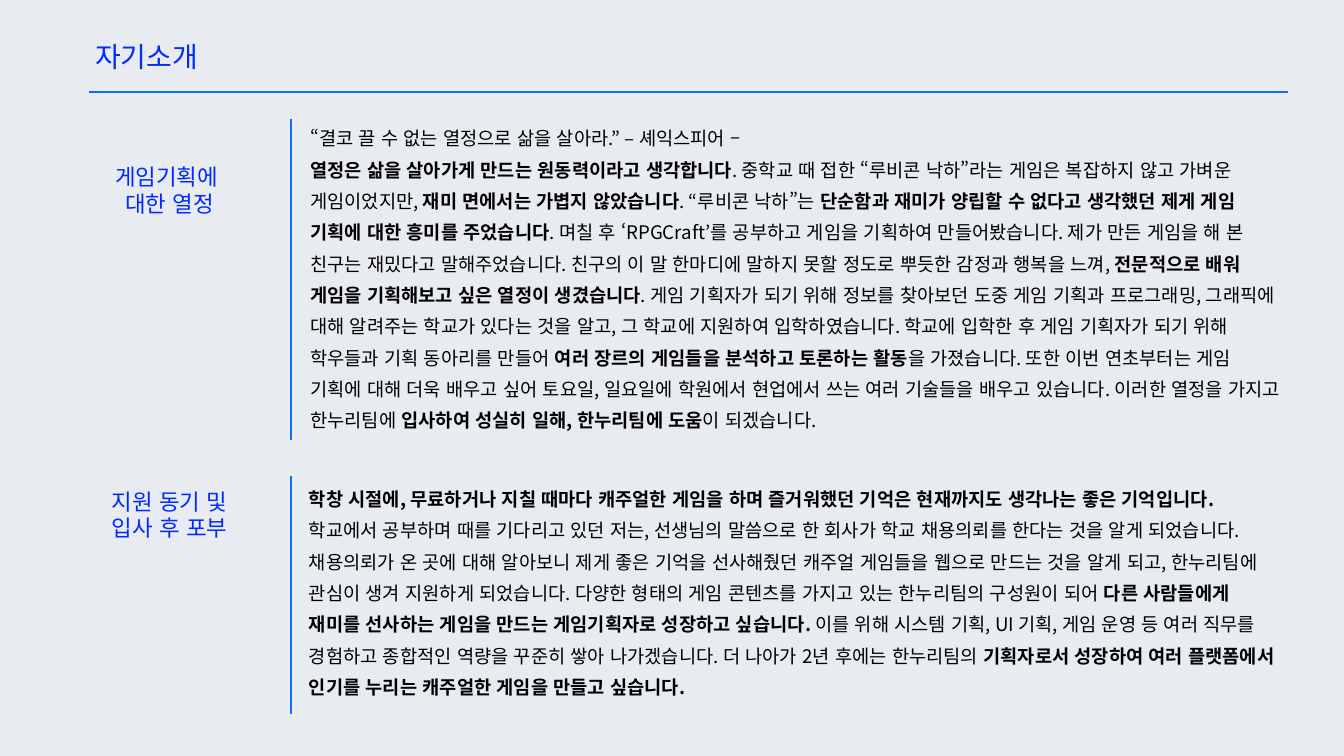
"""Build a self-introduction slide with two headed passages."""
from lxml import etree
from pptx import Presentation
from pptx import util as u
from pptx.dml.color import RGBColor
from pptx.enum import lang, shapes, text
from pptx.oxml.ns import qn

FONT = "Noto Sans CJK KR"
HUES = {"back": "E8EBEF", "head": "002AFF", "rule": "0D6EFD", "body": "000000"}


def put(words, box, size=20, hue="body", lead=None, align=text.PP_ALIGN.LEFT):
    """Add a text box; asterisks switch bold on and off, newlines part paragraphs."""
    frame = page.shapes.add_textbox(*[u.Cm(n) for n in box]).text_frame
    frame.word_wrap = True
    frame.auto_size = text.MSO_AUTO_SIZE.SHAPE_TO_FIT_TEXT
    for i, line in enumerate(words.split("\n")):
        para = frame.paragraphs[0] if i == 0 else frame.add_paragraph()
        para.alignment = align
        para.line_spacing = lead
        for j, part in enumerate(line.split("*")):
            if not part:
                continue
            run = para.add_run()
            run.text = part
            font = run.font
            font.name, font.size, font.bold = FONT, u.Pt(size), j % 2 == 1
            font.language_id = lang.MSO_LANGUAGE_ID.KOREAN
            font.color.rgb = RGBColor.from_string(HUES[hue])
            etree.SubElement(font._element, qn("a:ea"), typeface=FONT)


def rule(*ends):
    """Draw a straight blue line between two points."""
    line = page.shapes.add_connector(shapes.MSO_CONNECTOR.STRAIGHT, *[u.Cm(n) for n in ends])
    line.line.color.rgb = RGBColor.from_string(HUES["rule"])
    line.line.width = u.Pt(2.25)
    etree.SubElement(line._element.spPr, qn("a:effectLst"))


deck = Presentation()
deck.slide_width, deck.slide_height = u.Cm(50.8), u.Cm(28.58)
page = deck.slides.add_slide(deck.slide_layouts[6])
page.background.fill.solid()
page.background.fill.fore_color.rgb = RGBColor.from_string(HUES["back"])

passion = (
    "“결코 끌 수 없는 열정으로 삶을 살아라.” – 셰익스피어 –\n"
    "*열정은 삶을 살아가게 만드는 원동력이라고 생각합니다*. 중학교 때 접한 “루비콘 낙하”라는 게임은 "
    "복잡하지 않고 가벼운 게임이었지만, *재미 면에서는 가볍지 않았습니다*. “루비콘 낙하”는 "
    "*단순함과 재미가 양립할 수 없다고 생각했던 제게 게임 기획에 대한 흥미를 주었습니다*. "
    "며칠 후 ‘RPGCraft’를 공부하고 게임을 기획하여 만들어봤습니다. 제가 만든 게임을 해 본 친구는 "
    "재밌다고 말해주었습니다. 친구의 이 말 한마디에 말하지 못할 정도로 뿌듯한 감정과 행복을 느껴, "
    "*전문적으로 배워 게임을 기획해보고 싶은 열정이 생겼습니다*. 게임 기획자가 되기 위해 정보를 "
    "찾아보던 도중 게임 기획과 프로그래밍, 그래픽에 대해 알려주는 학교가 있다는 것을 알고, 그 학교에 "
    "지원하여 입학하였습니다. 학교에 입학한 후 게임 기획자가 되기 위해 학우들과 기획 동아리를 만들어 "
    "*여러 장르의 게임들을 분석하고 토론하는 활동*을 가졌습니다. 또한 이번 연초부터는 게임 기획에 대해 "
    "더욱 배우고 싶어 토요일, 일요일에 학원에서 현업에서 쓰는 여러 기술들을 배우고 있습니다. 이러한 "
    "열정을 가지고 한누리팀에 *입사하여 성실히 일해, 한누리팀에 도움*이 되겠습니다."
)
motive = (
    "*학창 시절에, 무료하거나 지칠 때마다 캐주얼한 게임을 하며 즐거워했던 기억은 현재까지도 생각나는 "
    "좋은 기억입니다. *학교에서 공부하며 때를 기다리고 있던 저는, 선생님의 말씀으로 한 회사가 학교 "
    "채용의뢰를 한다는 것을 알게 되었습니다. 채용의뢰가 온 곳에 대해 알아보니 제게 좋은 기억을 "
    "선사해줬던 캐주얼 게임들을 웹으로 만드는 것을 알게 되고, 한누리팀에 관심이 생겨 지원하게 "
    "되었습니다. 다양한 형태의 게임 콘텐츠를 가지고 있는 한누리팀의 구성원이 되어 *다른 사람들에게 "
    "재미를 선사하는 게임을 만드는 게임기획자로 성장하고 싶습니다. *이를 위해 시스템 기획, UI 기획, "
    "게임 운영 등 여러 직무를 경험하고 종합적인 역량을 꾸준히 쌓아 나가겠습니다. 더 나아가 2년 후에는 "
    "한누리팀의 *기획자로서 성장하여 여러 플랫폼에서 인기를 누리는 캐주얼한 게임을 만들고 싶습니다.*"
)

put("자기소개", (3.35, 1.37, 28.4, 1.55), size=30, hue="head")
rule(3.35, 3.48, 48.69, 3.48)

parts = [
    ("게임기획에 \n대한 열정", (2.82, 6.05, 7.19, 2.31), passion, (11.48, 4.34, 37.21, 12.12), (4.51, 16.62)),
    ("지원 동기 및\n입사 후 포부", (3, 18.31, 6.81, 2.31), motive, (11.43, 17.98, 37.21, 8.51), (17.98, 26.98)),
]
for head, spot, body, area, (top, foot) in parts:
    rule(11.01, top, 11.01, foot)
    put(body, area, lead=1.4)
    put(head, spot, size=24, hue="head", align=text.PP_ALIGN.CENTER)

deck.save("out.pptx")
